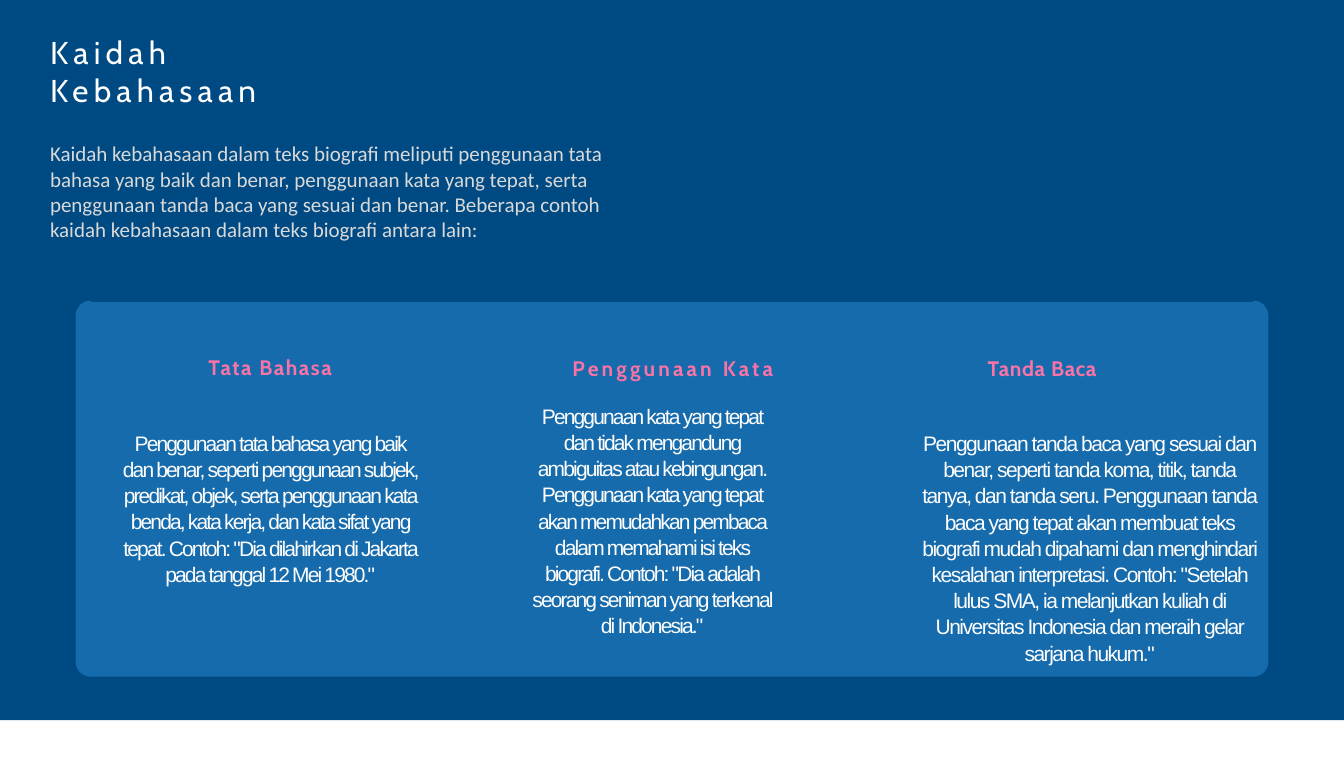
import pptx
import pptx.util
import pptx.dml.color
import pptx.enum.shapes
import pptx.enum.text
import lxml.etree

Inches = pptx.util.Inches
Pt = pptx.util.Pt
RGBColor = pptx.dml.color.RGBColor
ALIGN = pptx.enum.text.PP_ALIGN
SHAPE = pptx.enum.shapes.MSO_SHAPE

NAVY = RGBColor(0x00, 0x4A, 0x83)
BLUE = RGBColor(0x15, 0x6B, 0xAC)
PINK = RGBColor(0xF9, 0x73, 0xA6)
WHITE = RGBColor(0xFF, 0xFF, 0xFF)
PALE = RGBColor(0xFE, 0xFE, 0xFE)
GREY = RGBColor(0xD9, 0xD9, 0xD9)

INTRO = ("Kaidah kebahasaan dalam teks biografi meliputi penggunaan tata bahasa "
         "yang baik dan benar, penggunaan kata yang tepat, serta penggunaan tanda "
         "baca yang sesuai dan benar. Beberapa contoh kaidah kebahasaan dalam teks "
         "biografi antara lain:")

COLUMNS = [
    dict(box=(1.28, 3.74, 3.16, 2.43),
         head=dict(text="Tata Bahasa", track=1.2),
         body=dict(text="Penggunaan tata bahasa yang baik dan benar, seperti penggunaan "
                        "subjek, predikat, objek, serta penggunaan kata benda, kata "
                        "kerja, dan kata sifat yang tepat. Contoh: \"Dia dilahirkan di "
                        "Jakarta pada tanggal 12 Mei 1980.\"",
                   track=-1.4, before=37.6)),
    dict(box=(5.56, 3.75, 3.12, 2.67),
         head=dict(text="Penggunaan Kata", track=2.4, left=0.44, right=0.44),
         body=dict(text="Penggunaan kata yang tepat dan tidak mengandung ambiguitas atau "
                        "kebingungan. Penggunaan kata yang tepat akan memudahkan pembaca "
                        "dalam memahami isi teks biografi. Contoh: \"Dia adalah seorang "
                        "seniman yang terkenal di Indonesia.\"",
                   track=-1.4, before=16.2, right=0.44)),
    dict(box=(9.73, 3.75, 3.66, 3.22),
         head=dict(text="Tanda Baca", track=0.5, left=0.72, align=ALIGN.LEFT),
         body=dict(text="Penggunaan tanda baca yang sesuai dan benar, seperti tanda koma, "
                        "titik, tanda tanya, dan tanda seru. Penggunaan tanda baca yang "
                        "tepat akan membuat teks biografi mudah dipahami dan menghindari "
                        "kesalahan interpretasi. Contoh: \"Setelah lulus SMA, ia "
                        "melanjutkan kuliah di Universitas Indonesia dan meraih gelar "
                        "sarjana hukum.\"",
                   track=-1.1, before=36.9, right=0.06)),
]


def place(shape, box):
    """Move a text shape to its box and clear its insets."""
    shape.left, shape.top, shape.width, shape.height = map(Inches, box)
    frame = shape.text_frame
    frame.word_wrap = True
    frame.auto_size = pptx.enum.text.MSO_AUTO_SIZE.NONE
    frame.vertical_anchor = pptx.enum.text.MSO_ANCHOR.TOP
    frame.margin_left = frame.margin_right = frame.margin_bottom = 0
    frame.margin_top = Inches(0.01)
    return frame


def write(para, text, font="Arial", size=16, color=PALE, bold=False, track=0,
          align=ALIGN.CENTER, before=0, lines=1.0, left=0, right=0):
    """Fill a paragraph with one formatted run."""
    para.alignment = align
    para.space_before = Pt(before)
    para.line_spacing = lines
    props = para._p.get_or_add_pPr()
    props.set("marL", str(Inches(left)))
    props.set("marR", str(Inches(right)))
    run = para.add_run()
    run.text = text
    run.font.name = font
    run.font.size = Pt(size)
    run.font.bold = bold
    run.font.color.rgb = color
    run._r.get_or_add_rPr().set("spc", str(round(track * 100)))


def block(slide, kind, box, color):
    """Add a plain filled shape."""
    shape = slide.shapes.add_shape(kind, *map(Inches, box))
    shape.shadow.inherit = False
    shape.fill.solid()
    shape.fill.fore_color.rgb = color
    shape.line.fill.background()
    return shape


def header(slide, box):
    """Place the title and the intro below it."""
    left, top, width, height = box
    frame = place(slide.shapes.title, (left, top, 2.75, 0.82))
    write(frame.paragraphs[0], "Kaidah Kebahasaan", font="Cabin", size=24,
          color=WHITE, track=4, align=ALIGN.LEFT, before=1)
    intro = slide.shapes.add_textbox(0, 0, 0, 0)
    frame = place(intro, (left, top + 1.15, width, height - 1.15))
    frame.margin_top = 0
    write(frame.paragraphs[0], INTRO, font="Calibri", color=GREY, align=ALIGN.LEFT)


def panel(slide, box):
    """Draw the rounded panel with its top edge."""
    left, top, width, height = box
    radius = 0.16
    shape = block(slide, SHAPE.ROUNDED_RECTANGLE, box, BLUE)
    shape.adjustments[0] = radius / height
    edge = slide.shapes.add_connector(
        pptx.enum.shapes.MSO_CONNECTOR.STRAIGHT, Inches(left + radius), Inches(top),
        Inches(left + width - radius), Inches(top))
    edge.line.color.rgb = NAVY
    edge.line.width = Pt(1.5)
    lxml.etree.SubElement(edge._element.spPr, pptx.oxml.ns.qn("a:effectLst"))


def column(slide, box, head, body):
    """Write a pink heading and its text in one box."""
    frame = place(slide.shapes.add_textbox(0, 0, 0, 0), box)
    write(frame.paragraphs[0], font="Cabin", color=PINK, bold=True,
          before=0.7, lines=1.02, **head)
    write(frame.add_paragraph(), lines=1.04, **body)


def main():
    """Build the slide and save it."""
    deck = pptx.Presentation()
    deck.slide_width = Inches(14.22)
    deck.slide_height = Inches(8.01)
    slide = deck.slides.add_slide(deck.slide_layouts[5])
    back = block(slide, SHAPE.RECTANGLE, (0, 0, 14.22, 7.62), NAVY)
    slide.shapes.title._element.addprevious(back._element)
    header(slide, (0.53, 0.34, 5.87, 2.23))
    panel(slide, (0.8, 3.18, 12.62, 3.98))
    for item in COLUMNS:
        column(slide, **item)
    deck.save("out.pptx")


if __name__ == "__main__":
    main()
